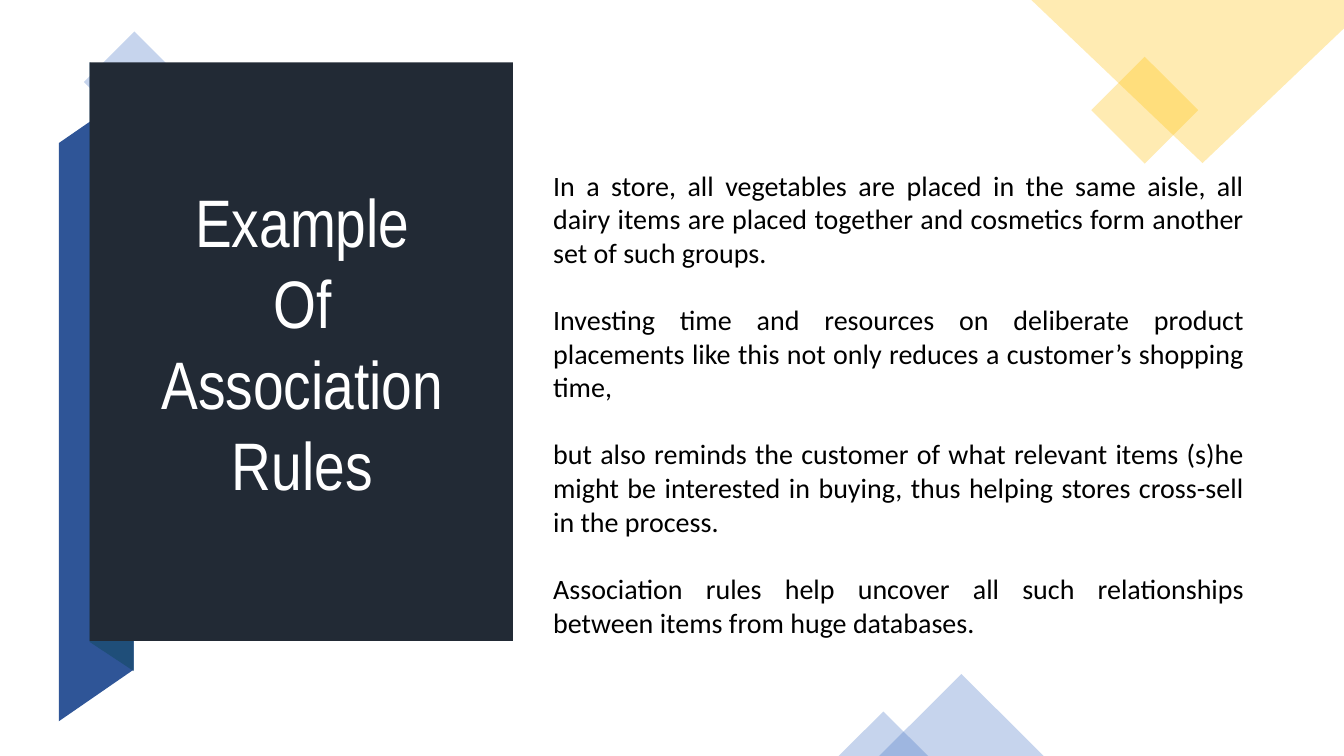
import pptx
import pptx.dml.color
import pptx.enum.shapes
import pptx.enum.text
import pptx.oxml.ns
import pptx.util
from lxml import etree

Pt = pptx.util.Pt
SHAPE = pptx.enum.shapes.MSO_SHAPE
ALIGN = pptx.enum.text.PP_ALIGN

COLORS = {
    "blue": "4472C4",
    "gold": "FFC000",
    "ribbon": "2F5597",
    "fold": "1F4E79",
    "panel": "222A35",
    "white": "FFFFFF",
    "black": "000000",
}

TITLE = ["Example", "Of", "Association", "Rules"]
BODY = [
    "In a store, all vegetables are placed in the same aisle, all dairy items are placed "
    "together and cosmetics form another set of such groups.",
    "Investing time and resources on deliberate product placements like this not only "
    "reduces a customer’s shopping time,",
    "but also reminds the customer of what relevant items (s)he might be interested in "
    "buying, thus helping stores cross-sell in the process.",
    "Association rules help uncover all such relationships between items from huge databases.",
]


def rgb(name):
    """Return the named colour."""
    return pptx.dml.color.RGBColor.from_string(COLORS[name])


def paint(sp, color, alpha=None):
    """Give a shape a flat fill, with an optional opacity in percent."""
    sp.shadow.inherit = False
    sp.line.fill.background()
    sp.fill.solid()
    sp.fill.fore_color.rgb = rgb(color)
    if alpha is not None:
        clr = sp.fill._xPr.find(".//" + pptx.oxml.ns.qn("a:srgbClr"))
        etree.SubElement(clr, pptx.oxml.ns.qn("a:alpha"), val=str(alpha * 1000))


def add_preset(s, kind, x, y, w, h, color, alpha=None, rotation=0):
    """Add a filled preset shape."""
    sp = s.shapes.add_shape(kind, Pt(x), Pt(y), Pt(w), Pt(h))
    sp.rotation = rotation
    paint(sp, color, alpha)


def add_polygon(s, points, color, alpha=None):
    """Add a filled closed outline through the points."""
    start, *rest = [(Pt(x), Pt(y)) for x, y in points]
    builder = s.shapes.build_freeform(*start)
    builder.add_line_segments(rest, close=True)
    paint(builder.convert_to_shape(), color, alpha)


def add_text(s, paragraphs, x, y, w, h, *, font, size, color, align, line=1.0, before=0, after=0):
    """Add a text box of equally formatted paragraphs."""
    tf = s.shapes.add_textbox(Pt(x), Pt(y), Pt(w), Pt(h)).text_frame
    tf.word_wrap = True
    tf.auto_size = pptx.enum.text.MSO_AUTO_SIZE.SHAPE_TO_FIT_TEXT
    for i, text in enumerate(paragraphs):
        p = tf.add_paragraph() if i else tf.paragraphs[0]
        p.alignment = align
        p.line_spacing = line
        p.space_before = Pt(before if i else 0)
        p.space_after = Pt(after)
        r = p.add_run()
        r.text = text
        r.font.name = font
        r.font.size = Pt(size)
        r.font.color.rgb = rgb(color)


def main():
    """Build the slide and save it."""
    prs = pptx.Presentation()
    prs.slide_width, prs.slide_height = Pt(960), Pt(540)
    s = prs.slides.add_slide(prs.slide_layouts[6])

    add_preset(s, SHAPE.RECTANGLE, 70.5, 33, 51, 51, "blue", 30, 315)
    add_preset(s, SHAPE.RECTANGLE, 790.7, 51.7, 54, 54, "gold", 30, 315)
    add_polygon(s, [(960, 0), (736.7, 0), (859, 116.5), (960, 20.3)], "gold", 30)
    add_preset(s, SHAPE.ISOSCELES_TRIANGLE, 628, 481.5, 117.5, 58.5, "blue", 30)
    add_preset(s, SHAPE.ISOSCELES_TRIANGLE, 599, 508.3, 64, 31.7, "blue", 30)

    add_polygon(s, [(42, 515.2), (95.5, 478.3), (95.5, 65.3), (42, 102.2)], "ribbon")
    add_polygon(s, [(64, 458.5), (95.5, 479.3), (95.5, 65), (64, 44.5)], "fold")
    add_preset(s, SHAPE.RECTANGLE, 64, 44.5, 302.4, 413.3, "panel")

    add_text(s, TITLE, 95.5, 131.8, 241, 234.7, font="Arial Narrow", size=48,
             color="white", align=ALIGN.CENTER, line=0.9, after=6)
    add_text(s, BODY, 388, 116.5, 507.6, 346.3, font="Calibri", size=20,
             color="black", align=ALIGN.JUSTIFY, before=24)
    prs.save("out.pptx")


if __name__ == "__main__":
    main()
